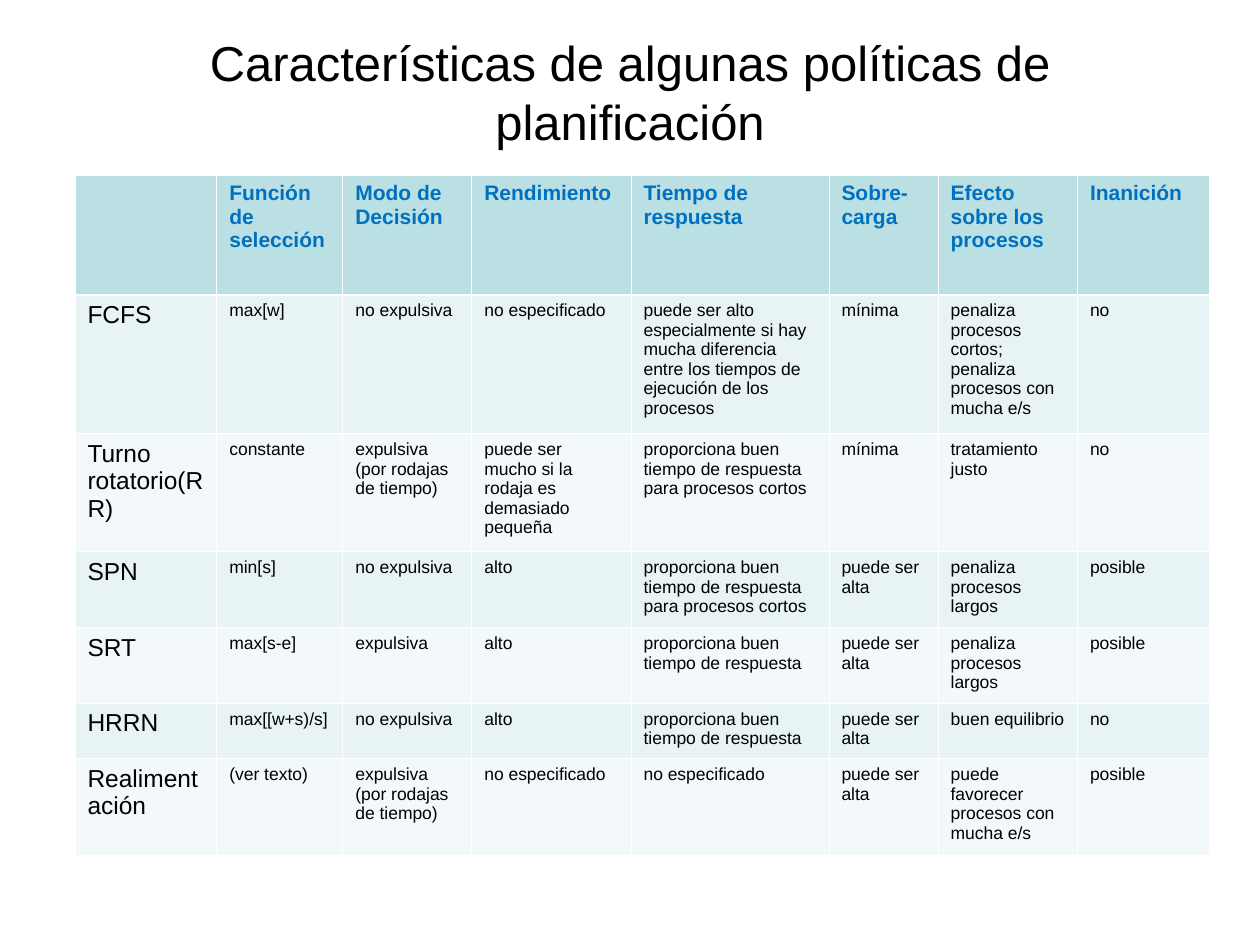
from lxml import etree
from pptx import Presentation
from pptx.dml.color import RGBColor
from pptx.enum.text import MSO_ANCHOR, PP_ALIGN
from pptx.oxml.ns import qn
from pptx.util import Cm, Pt

CENTER = PP_ALIGN.CENTER
MIDDLE = MSO_ANCHOR.MIDDLE
FONT = "Arial"
COLORS = {
    "text": "000000",
    "header_text": "0070C0",
    "header": "BBE0E3",
    "odd_row": "E7F3F4",
    "even_row": "F3F9FA",
    "border": "FFFFFF",
}
THIN, THICK = 0.45, 1.47

COL_WIDTHS = [2.86, 2.54, 2.6, 3.21, 3.99, 2.2, 2.81, 2.66]
ROW_HEIGHTS = [2.41, 2.8, 2.38, 1.53, 1.53, 1.11, 1.95]
ROWS = [
    ["", "Función de selección", "Modo de Decisión", "Rendimiento",
     "Tiempo de respuesta", "Sobre-carga", "Efecto sobre los procesos", "Inanición"],
    ["FCFS", "max[w]", "no expulsiva", "no especificado",
     "puede ser alto especialmente si hay mucha diferencia entre los tiempos "
     "de ejecución de los procesos", "mínima",
     "penaliza procesos cortos; penaliza procesos con mucha e/s", "no"],
    ["Turno rotatorio(RR)", "constante", "expulsiva (por rodajas de tiempo)",
     "puede ser mucho si la rodaja es demasiado pequeña",
     "proporciona buen tiempo de respuesta para procesos cortos", "mínima",
     "tratamiento justo", "no"],
    ["SPN", "min[s]", "no expulsiva", "alto",
     "proporciona buen tiempo de respuesta para procesos cortos", "puede ser alta",
     "penaliza procesos largos", "posible"],
    ["SRT", "max[s-e]", "expulsiva", "alto",
     "proporciona buen tiempo de respuesta", "puede ser alta",
     "penaliza procesos largos", "posible"],
    ["HRRN", "max[[w+s)/s]", "no expulsiva", "alto",
     "proporciona buen tiempo de respuesta", "puede ser alta",
     "buen equilibrio", "no"],
    ["Realimentación", "(ver texto)", "expulsiva (por rodajas de tiempo)",
     "no especificado", "no especificado", "puede ser alta",
     "puede favorecer procesos con mucha e/s", "posible"],
]


def format_text(tf, size, color, bold=False):
    """Format every run of a text frame."""
    for p in tf.paragraphs:
        for r in p.runs:
            r.font.name = FONT
            r.font.size = Pt(size)
            r.font.bold = bold
            r.font.color.rgb = RGBColor.from_string(COLORS[color])


def set_borders(cell, top, bottom):
    """Draw the four borders of a cell; top and bottom are widths in points."""
    tc_pr = cell._tc.get_or_add_tcPr()
    for side, width in (("L", THIN), ("R", THIN), ("T", top), ("B", bottom)):
        ln = etree.SubElement(tc_pr, qn("a:ln" + side), w=str(Pt(width)))
        fill = etree.SubElement(ln, qn("a:solidFill"))
        etree.SubElement(fill, qn("a:srgbClr"), val=COLORS["border"])


prs = Presentation()
prs.slide_width, prs.slide_height = Cm(25.4), Cm(19.05)
s = prs.slides.add_slide(prs.slide_layouts[5])

title = s.shapes.title
title.left, title.top = Cm(1.27), Cm(0.76)
title.width, title.height = Cm(22.86), Cm(2.16)
tf = title.text_frame
tf.text = "Características de algunas políticas de planificación"
tf.vertical_anchor = MIDDLE
tf.paragraphs[0].alignment = CENTER
format_text(tf, 28, "text")

table = s.shapes.add_table(
    len(ROWS), len(COL_WIDTHS), Cm(1.51), Cm(3.53),
    Cm(sum(COL_WIDTHS)), Cm(sum(ROW_HEIGHTS))).table
for col, width in zip(table.columns, COL_WIDTHS):
    col.width = Cm(width)
for row, height in zip(table.rows, ROW_HEIGHTS):
    row.height = Cm(height)

for i, texts in enumerate(ROWS):
    row_fill = "header" if i == 0 else "odd_row" if i % 2 else "even_row"
    for j, text in enumerate(texts):
        cell = table.cell(i, j)
        set_borders(cell, THICK if i == 1 else THIN, THICK if i == 0 else THIN)
        cell.fill.solid()
        cell.fill.fore_color.rgb = RGBColor.from_string(COLORS[row_fill])
        cell.text_frame.text = text
        if i == 0:
            format_text(cell.text_frame, 12, "header_text", bold=True)
        else:
            format_text(cell.text_frame, 14 if j == 0 else 10, "text")

prs.save("out.pptx")
